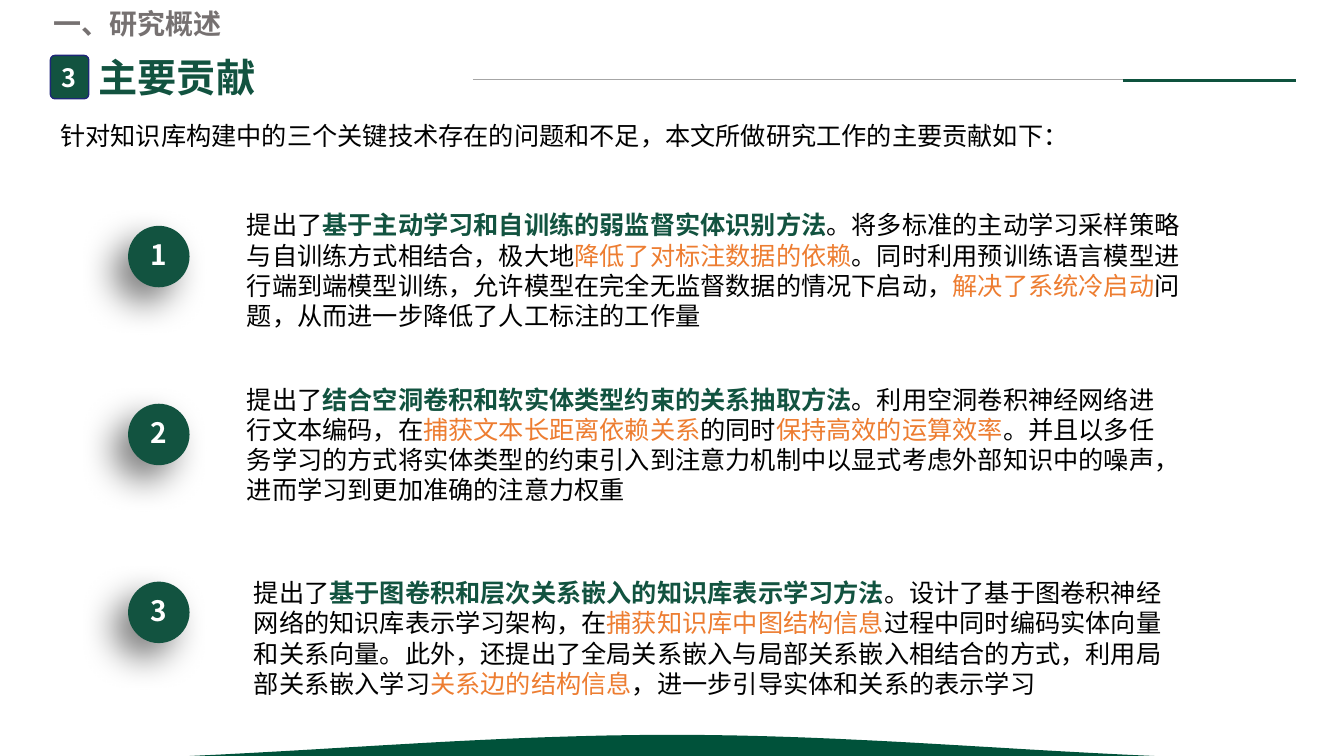
from lxml import etree
from pptx import Presentation
from pptx.dml.color import RGBColor
from pptx.enum.shapes import MSO_CONNECTOR, MSO_SHAPE
from pptx.enum.text import MSO_AUTO_SIZE
from pptx.oxml.ns import qn
from pptx.util import Inches, Pt

ELLIPSE, ROUNDED = MSO_SHAPE.OVAL, MSO_SHAPE.ROUNDED_RECTANGLE
STRAIGHT = MSO_CONNECTOR.STRAIGHT
GROW = MSO_AUTO_SIZE.SHAPE_TO_FIT_TEXT
FONT = "Noto Sans CJK SC"
GREEN, ORANGE, BLACK, WHITE = "125340", "ED7D31", "000000", "FFFFFF"
GREY, RULE_GREY, RULE_GREEN = "767171", "A6A6A6", "0E523E"
HILL_GREEN, NAVY = "00523A", "1E2678"
SLIDE_W, SLIDE_H = 13.33, 7.5
LINE_HEIGHT = 1.2

CHAPTER, SECTION_NO, SECTION = "一、研究概述", "3", "主要贡献"
INTRO = "针对知识库构建中的三个关键技术存在的问题和不足，本文所做研究工作的主要贡献如下："
PLAIN, METHOD, GAIN = (BLACK, False), (GREEN, True), (ORANGE, False)
CONTRIBUTIONS = [
    ((2.35, 2.03, 9.66), [
        ("提出了", PLAIN),
        ("基于主动学习和自训练的弱监督实体识别方法", METHOD),
        ("。将多标准的主动学习采样策略与自训练方式相结合，极大地", PLAIN),
        ("降低了对标注数据的依赖", GAIN),
        ("。同时利用预训练语言模型进行端到端模型训练，允许模型在完全无监督数据的情况下启动，", PLAIN),
        ("解决了系统冷启动", GAIN),
        ("问题，从而进一步降低了人工标注的工作量", PLAIN)]),
    ((2.35, 3.76, 9.4), [
        ("提出了", PLAIN),
        ("结合空洞卷积和软实体类型约束的关系抽取方法", METHOD),
        ("。利用空洞卷积神经网络进行文本编码，在", PLAIN),
        ("捕获文本长距离依赖关系", GAIN),
        ("的同时", PLAIN),
        ("保持高效的运算效率", GAIN),
        ("。并且以多任务学习的方式将实体类型的约束引入到注意力机制中以显式考虑外部知识中的噪声，"
         "进而学习到更加准确的注意力权重", PLAIN)]),
    ((2.42, 5.68, 9.2), [
        ("提出了", PLAIN),
        ("基于图卷积和层次关系嵌入的知识库表示学习方法", METHOD),
        ("。设计了基于图卷积神经网络的知识库表示学习架构，在", PLAIN),
        ("捕获知识库中图结构信息", GAIN),
        ("过程中同时编码实体向量和关系向量。此外，还提出了全局关系嵌入与局部关系嵌入相结合的方式，"
         "利用局部关系嵌入学习", PLAIN),
        ("关系边的结构信息", GAIN),
        ("，进一步引导实体和关系的表示学习", PLAIN)]),
]
BADGE_X, BADGE_Y, BADGE_PITCH, BADGE_SIZE = 1.27, 2.24, 1.765, 0.61
RULES = [((4.69, 0.79), (12.77, 0.79), RULE_GREY, 0.5),
         ((11.14, 0.8), (12.85, 0.8), RULE_GREEN, 2)]
HILL = [((1.88, 7.5), (3.45, 7.43), (4.99, 7.29), (6.67, 7.29)),
        ((6.67, 7.29), (8.32, 7.29), (9.83, 7.43), (11.45, 7.5))]
HILL_STEPS = 30


def rgb(value):
    """Turn a hex string into a colour."""
    return RGBColor.from_string(value)


def add_text(s, box, text, size=18, color=BLACK, bold=False, wrap=True):
    """Add a text box from a string or a list of styled runs."""
    tf = s.shapes.add_textbox(*map(Inches, box)).text_frame
    tf.word_wrap = wrap
    tf.auto_size = GROW
    p = tf.paragraphs[0]
    p.line_spacing = Pt(LINE_HEIGHT * size)
    runs = [(text, (color, bold))] if isinstance(text, str) else text
    for words, (run_color, run_bold) in runs:
        r = p.add_run()
        r.text = words
        r.font.size, r.font.bold, r.font.name = Pt(size), run_bold, FONT
        r.font.color.rgb = rgb(run_color)
        etree.SubElement(r.font._element, qn("a:ea"), typeface=FONT)


def paint(sp, fill, line=None):
    """Give a shape a flat fill and an optional one-point outline."""
    sp.shadow.inherit = False
    sp.fill.solid()
    sp.fill.fore_color.rgb = rgb(fill)
    if line:
        sp.line.color.rgb = rgb(line)
        sp.line.width = Pt(1)
    else:
        sp.line.fill.background()


def add_shadow(sp):
    """Cast a soft shadow towards the lower left."""
    effects = sp._element.spPr.find(qn("a:effectLst"))
    shadow = etree.SubElement(effects, qn("a:outerShdw"), blurRad=str(Pt(25)),
                              dist=str(Pt(15)), dir="8100000", algn="tr", rotWithShape="0")
    color = etree.SubElement(shadow, qn("a:srgbClr"), val=BLACK)
    etree.SubElement(color, qn("a:alpha"), val="50000")


def add_rule(s, start, end, color, width):
    """Draw a straight line."""
    c = s.shapes.add_connector(STRAIGHT, *map(Inches, start + end))
    c.line.color.rgb = rgb(color)
    c.line.width = Pt(width)
    etree.SubElement(c._element.spPr, qn("a:effectLst"))


def bezier(curve, t):
    """Return the point of a cubic curve at t."""
    weights = ((1 - t) ** 3, 3 * t * (1 - t) ** 2, 3 * t * t * (1 - t), t ** 3)
    return tuple(Inches(sum(w * pt[axis] for w, pt in zip(weights, curve))) for axis in (0, 1))


def add_hill(s):
    """Draw the curved band at the foot of the slide."""
    points = [bezier(curve, i / HILL_STEPS) for curve in HILL for i in range(1, HILL_STEPS + 1)]
    builder = s.shapes.build_freeform(*bezier(HILL[0], 0))
    builder.add_line_segments(points, close=True)
    paint(builder.convert_to_shape(), HILL_GREEN)


def main():
    """Build the slide and save it."""
    prs = Presentation()
    prs.slide_width, prs.slide_height = Inches(SLIDE_W), Inches(SLIDE_H)
    s = prs.slides.add_slide(prs.slide_layouts[6])
    add_hill(s)
    for rule in RULES:
        add_rule(s, *rule)
    add_text(s, (0.88, 0.48, 1.77, 0.57), SECTION, size=28, color=GREEN, bold=True, wrap=False)
    tile = s.shapes.add_shape(ROUNDED, *map(Inches, (0.5, 0.55, 0.38, 0.43)))
    tile.adjustments[0] = 0.118
    paint(tile, GREEN, NAVY)
    add_text(s, (0.51, 0.57, 0.38, 0.4), SECTION_NO, color=WHITE, bold=True)
    add_text(s, (0.43, 0.02, 1.99, 0.44), CHAPTER, size=20, color=GREY, bold=True)
    add_text(s, (0.5, 1.14, 12.02, 0.4), INTRO)
    for i, ((x, y, width), runs) in enumerate(CONTRIBUTIONS):
        add_text(s, (x, y, width, 1.31), runs)
        top = BADGE_Y + i * BADGE_PITCH
        badge = s.shapes.add_shape(ELLIPSE, *map(Inches, (BADGE_X, top, BADGE_SIZE, BADGE_SIZE)))
        paint(badge, GREEN)
        add_shadow(badge)
        add_text(s, (BADGE_X + 0.12, top + 0.07, 0.42, 0.44), str(i + 1),
                 size=20, color=WHITE, bold=True)
    prs.save("out.pptx")


if __name__ == "__main__":
    main()
